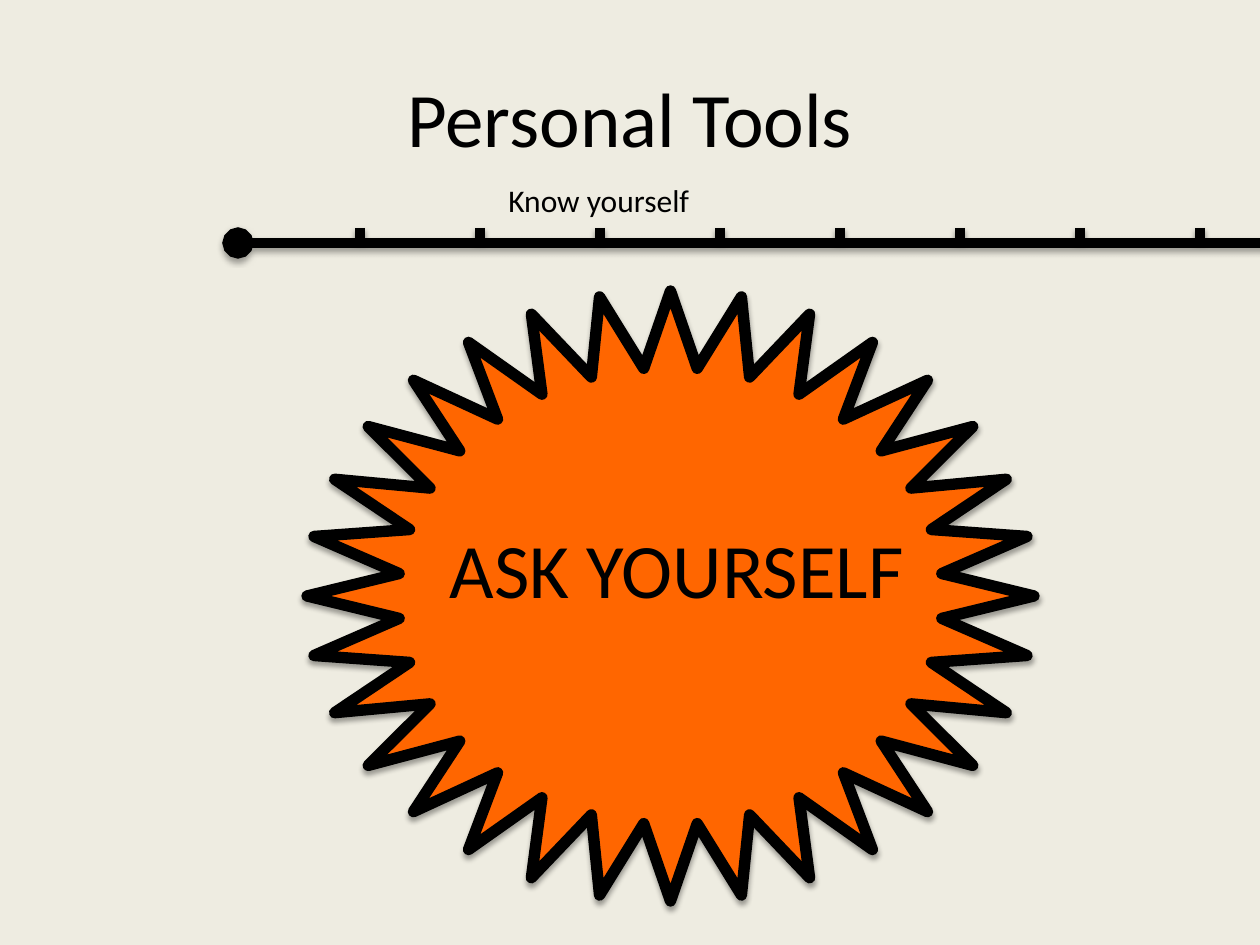
from dataclasses import dataclass
from typing import Any

from lxml.etree import SubElement
from pptx import Presentation
from pptx.dml.color import RGBColor
from pptx.enum.shapes import MSO_CONNECTOR, MSO_SHAPE
from pptx.enum.text import MSO_ANCHOR, MSO_AUTO_SIZE, PP_ALIGN
from pptx.oxml.ns import qn
from pptx.util import Emu, Pt

EMU_PER_PX = 914400 / 126


@dataclass(frozen=True)
class Theme:
    background: RGBColor = RGBColor(0xEE, 0xEC, 0xE1)
    ink: RGBColor = RGBColor(0, 0, 0)
    burst: RGBColor = RGBColor(0xFF, 0x66, 0x00)
    font: str = "Calibri"
    heading_size: int = 44
    label_size: int = 18
    timeline_width: float = 6
    burst_width: float = 6.5


@dataclass(frozen=True)
class Box:
    left: int
    top: int
    width: int
    height: int

    def emu(self) -> tuple[Emu, ...]:
        return tuple(px(value) for value in (self.left, self.top, self.width, self.height))


@dataclass(frozen=True)
class Segment:
    start_x: int
    start_y: int
    end_x: int
    end_y: int
    round_ends: bool = False


@dataclass(frozen=True)
class Shadow:
    opacity: int
    distance: float
    blur: float = 3.1


THEME = Theme()
TITLE_BOX = Box(63, 38, 1134, 157)
LABEL_BOX = Box(496, 175, 210, 50)
BURST_BOX = Box(307, 291, 727, 610)
QUESTION_BOX = Box(110, 355, 1134, 426)
TIMELINE = Segment(238, 243, 1445, 243, round_ends=True)
TICKS = [Segment(x, 228, x, 242) for x in range(360, 1201, 120)]
BASE_SHADOW = Shadow(35, 1.8)
TICK_SHADOW = Shadow(38, 1.6)


def px(value: int) -> Emu:
    return Emu(round(value * EMU_PER_PX))


def set_attributes(target: Any, values: dict[str, Any]) -> None:
    for name, value in values.items():
        setattr(target, name, value)


def add_shadow(shape: Any, shadow: Shadow) -> None:
    """Cast a soft shadow straight down."""
    effects = SubElement(shape._element.spPr, qn("a:effectLst"))
    outer = SubElement(effects, qn("a:outerShdw"), {
        "blurRad": str(Pt(shadow.blur)), "dist": str(Pt(shadow.distance)),
        "dir": "5400000", "rotWithShape": "0"})
    color = SubElement(outer, qn("a:srgbClr"), val=str(THEME.ink))
    SubElement(color, qn("a:alpha"), val=str(shadow.opacity * 1000))


def set_outline(shape: Any, width: float) -> Any:
    shape.line.width = Pt(width)
    shape.line.fill.solid()
    shape.line.fill.fore_color.rgb = THEME.ink
    outline = shape._element.spPr.find(qn("a:ln"))
    SubElement(outline, qn("a:round"))
    return outline


def write_text(shape: Any, text: str, size: int, paragraph_format: dict[str, Any],
               frame_format: dict[str, Any]) -> None:
    frame = shape.text_frame
    set_attributes(frame, frame_format)
    paragraph = frame.paragraphs[0]
    run = paragraph.add_run()
    run.text = text
    set_attributes(paragraph, paragraph_format)
    set_attributes(run.font, {"name": THEME.font, "size": Pt(size)})
    run.font.color.rgb = THEME.ink


def add_segment(group: Any, segment: Segment, shadow: Shadow) -> None:
    connector = group.shapes.add_connector(
        MSO_CONNECTOR.STRAIGHT, px(segment.start_x), px(segment.start_y),
        px(segment.end_x), px(segment.end_y))
    outline = set_outline(connector, THEME.timeline_width)
    if segment.round_ends:
        for end in ("a:headEnd", "a:tailEnd"):
            SubElement(outline, qn(end), type="oval")
    add_shadow(connector, shadow)


def add_timeline(slide: Any) -> None:
    group = slide.shapes.add_group_shape()
    add_segment(group, TIMELINE, BASE_SHADOW)
    for tick in reversed(TICKS):
        add_segment(group, tick, TICK_SHADOW)


def add_burst(slide: Any) -> None:
    burst = slide.shapes.add_shape(MSO_SHAPE.STAR_32_POINT, *BURST_BOX.emu())
    burst.fill.solid()
    burst.fill.fore_color.rgb = THEME.burst
    set_outline(burst, THEME.burst_width)
    add_shadow(burst, BASE_SHADOW)


def main() -> None:
    presentation = Presentation()
    set_attributes(presentation, {"slide_width": px(1260), "slide_height": px(945)})
    slide = presentation.slides.add_slide(presentation.slide_layouts[5])
    slide.background.fill.solid()
    slide.background.fill.fore_color.rgb = THEME.background

    centered = {"alignment": PP_ALIGN.CENTER}
    middle = {"word_wrap": True, "vertical_anchor": MSO_ANCHOR.MIDDLE}

    title = slide.shapes.title
    set_attributes(title, dict(zip(("left", "top", "width", "height"), TITLE_BOX.emu())))
    write_text(title, "Personal Tools", THEME.heading_size, centered, middle)

    label = slide.shapes.add_textbox(*LABEL_BOX.emu())
    write_text(label, "Know yourself", THEME.label_size, {"alignment": PP_ALIGN.LEFT},
               {"word_wrap": False, "auto_size": MSO_AUTO_SIZE.SHAPE_TO_FIT_TEXT})

    add_timeline(slide)
    add_burst(slide)

    question = slide.shapes.add_textbox(*QUESTION_BOX.emu())
    write_text(question, "ASK YOURSELF", THEME.heading_size, centered, middle)

    presentation.save("out.pptx")


if __name__ == "__main__":
    main()
